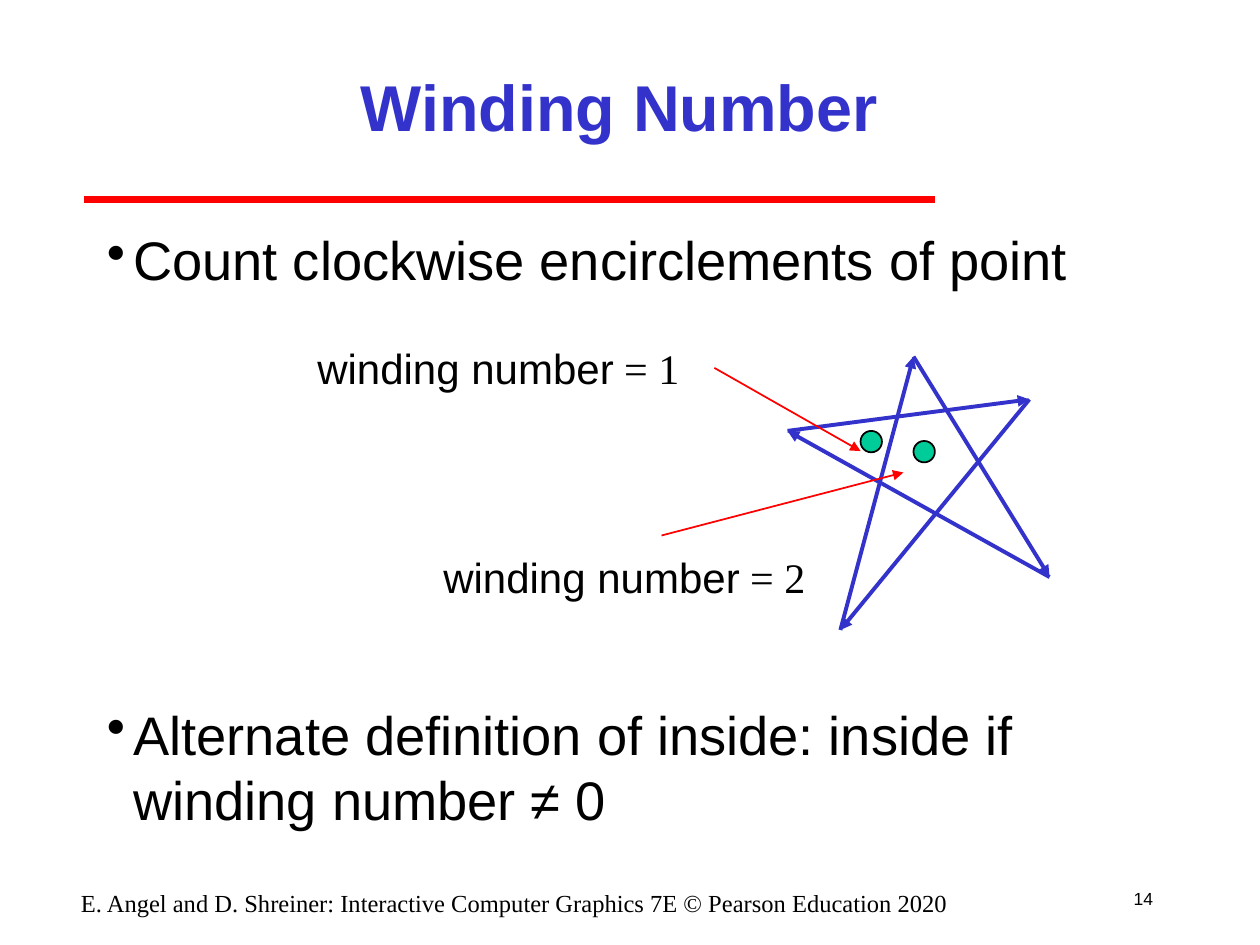
"""Build the Winding Number slide with its star diagram."""
from lxml import etree
from pptx import Presentation
from pptx.dml.color import RGBColor
from pptx.enum import shapes, text
from pptx.oxml import ns
from pptx.util import Inches, Pt

BLACK, BLUE, RED, GREEN, WHITE = "000000", "3333CC", "FF0000", "00CC99", "FFFFFF"
SANS, SERIF = "Arial", "Times New Roman"
LEFT, CENTER, RIGHT = text.PP_ALIGN.LEFT, text.PP_ALIGN.CENTER, text.PP_ALIGN.RIGHT
TOP, MIDDLE = text.MSO_ANCHOR.TOP, text.MSO_ANCHOR.MIDDLE

TITLE = "Winding Number"
BULLETS = [
    ("Count clockwise encirclements of point", 0),
    ("Alternate definition of inside: inside if winding number ≠ 0", 234),
]
FOOTER = "E. Angel and D. Shreiner: Interactive Computer Graphics 7E © Pearson Education 2020"
PAGE_NUMBER = "14"
LABELS = [(" = 2", (3.42, 4.33, 3.07, 0.5)), (" = 1", (2.42, 2.67, 3.07, 0.5))]
STAR = [(6.67, 5), (7.25, 2.83), (8.33, 4.58), (6.25, 3.42), (8.17, 3.17)]
POINTS = [(7.25, 3.5), (6.83, 3.42)]
POINT_SIZE = 0.17
POINTERS = [((5.25, 4.25), (7.17, 3.75)), ((5.67, 2.92), (6.83, 3.58))]
RULE = ((0.67, 1.58), (7.42, 1.58))


def color(value):
    return RGBColor.from_string(value)


def inches(values):
    return [Inches(value) for value in values]


def add_run(paragraph, content, **font_format):
    run = paragraph.add_run()
    run.text = content
    values = {"name": SANS, "bold": False, **font_format}
    run.font.color.rgb = color(values.pop("color", BLACK))
    run.font.size = Pt(values.pop("size"))
    for name, value in values.items():
        setattr(run.font, name, value)


def add_text_box(slide, box, align=LEFT, anchor=TOP, wrap=True):
    frame = slide.shapes.add_textbox(*inches(box)).text_frame
    frame_format = {
        "word_wrap": wrap,
        "vertical_anchor": anchor,
        "auto_size": text.MSO_AUTO_SIZE.NONE,
    }
    for name, value in frame_format.items():
        setattr(frame, name, value)
    frame.paragraphs[0].alignment = align
    return frame


def add_line(slide, start, end, line_color, width, arrow=True):
    line = slide.shapes.add_connector(
        shapes.MSO_CONNECTOR.STRAIGHT, *inches(start + end))
    line.line.color.rgb = color(line_color)
    line.line.width = Pt(width)
    if arrow:
        tail = etree.SubElement(line.line._get_or_add_ln(), ns.qn("a:tailEnd"))
        tail.set("type", "triangle")
    etree.SubElement(line._element.spPr, ns.qn("a:effectLst"))


def add_bullets(slide):
    frame = add_text_box(slide, (0.75, 1.75, 8.5, 5.17))
    for index, (content, space_before) in enumerate(BULLETS):
        paragraph = frame.add_paragraph() if index else frame.paragraphs[0]
        properties = paragraph._p.get_or_add_pPr()
        properties.set("marL", str(Inches(0.21)))
        properties.set("indent", str(Inches(-0.21)))
        etree.SubElement(properties, ns.qn("a:buChar")).set("char", "•")
        paragraph.space_before = Pt(space_before)
        add_run(paragraph, content, size=31)


def add_point(slide, position):
    point = slide.shapes.add_shape(
        shapes.MSO_SHAPE.OVAL, *inches(position + (POINT_SIZE, POINT_SIZE)))
    point.shadow.inherit = False
    point.fill.solid()
    point.fill.fore_color.rgb = color(GREEN)
    point.line.color.rgb = color(BLACK)
    point.line.width = Pt(1)


def add_label(slide, value, box):
    paragraph = add_text_box(slide, box, wrap=False).paragraphs[0]
    add_run(paragraph, "winding number", size=24)
    add_run(paragraph, value, size=24, name=SERIF)


def main():
    presentation = Presentation()
    presentation.slide_width, presentation.slide_height = inches((10, 7.5))
    slide = presentation.slides.add_slide(presentation.slide_layouts[6])
    slide.background.fill.solid()
    slide.background.fill.fore_color.rgb = color(WHITE)

    add_line(slide, *RULE, RED, 4, arrow=False)
    title = add_text_box(slide, (1.5, 0.25, 6.83, 1.17), CENTER, MIDDLE)
    add_run(title.paragraphs[0], TITLE, size=37, color=BLUE, bold=True)
    add_bullets(slide)

    for start, end in zip(STAR, STAR[1:] + STAR[:1]):
        add_line(slide, start, end, BLUE, 2.25)
    for (value, box), point, pointer in zip(LABELS, POINTS, POINTERS):
        add_point(slide, point)
        add_line(slide, *pointer, RED, 1)
        add_label(slide, value, box)

    footer = add_text_box(slide, (0.5, 7, 7.17, 0.25), CENTER)
    add_run(footer.paragraphs[0], FOOTER, size=14, name=SERIF)
    number = add_text_box(slide, (8.83, 6.92, 0.42, 0.42), RIGHT, MIDDLE, wrap=False)
    add_run(number.paragraphs[0], PAGE_NUMBER, size=10)
    presentation.save("out.pptx")


if __name__ == "__main__":
    main()
